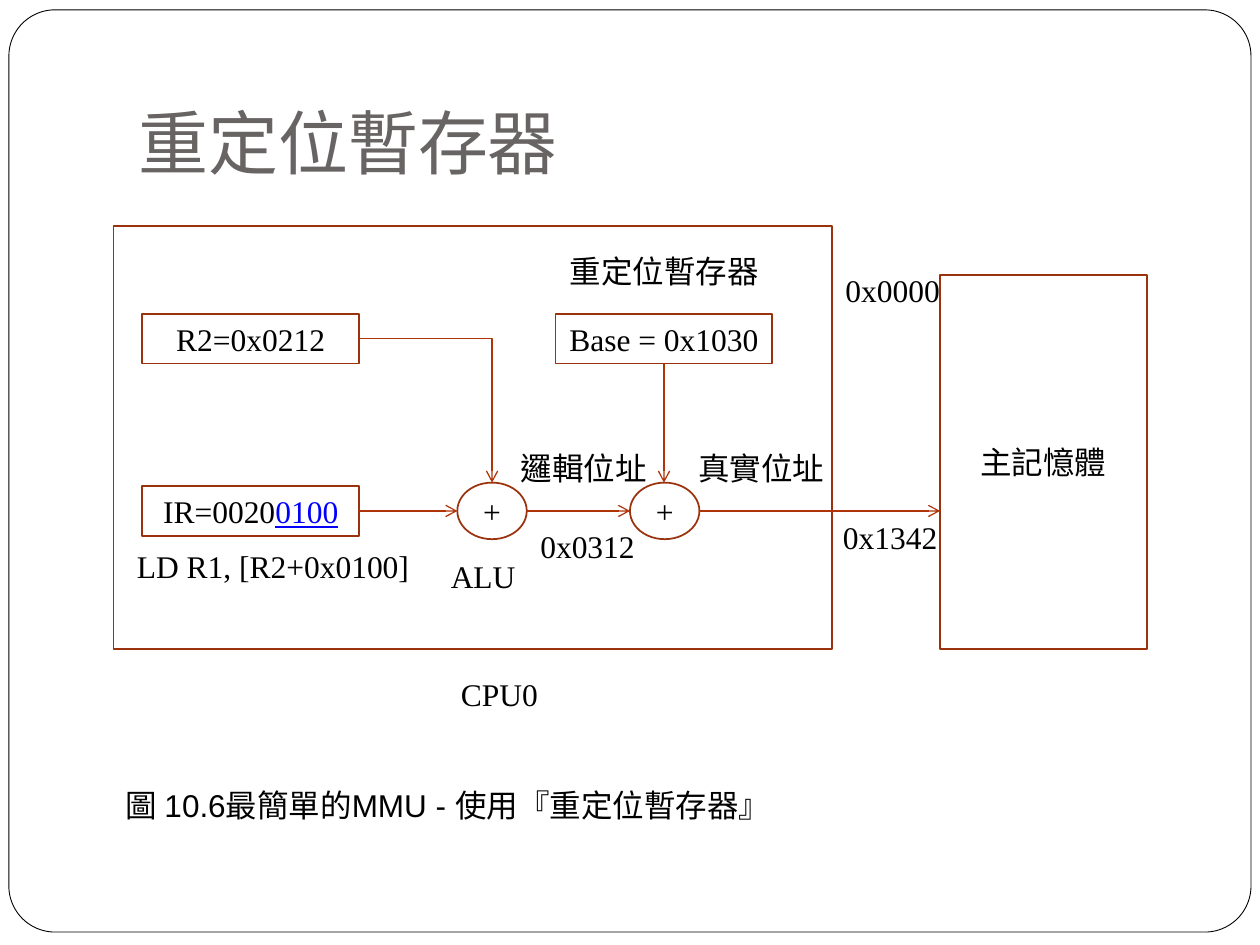
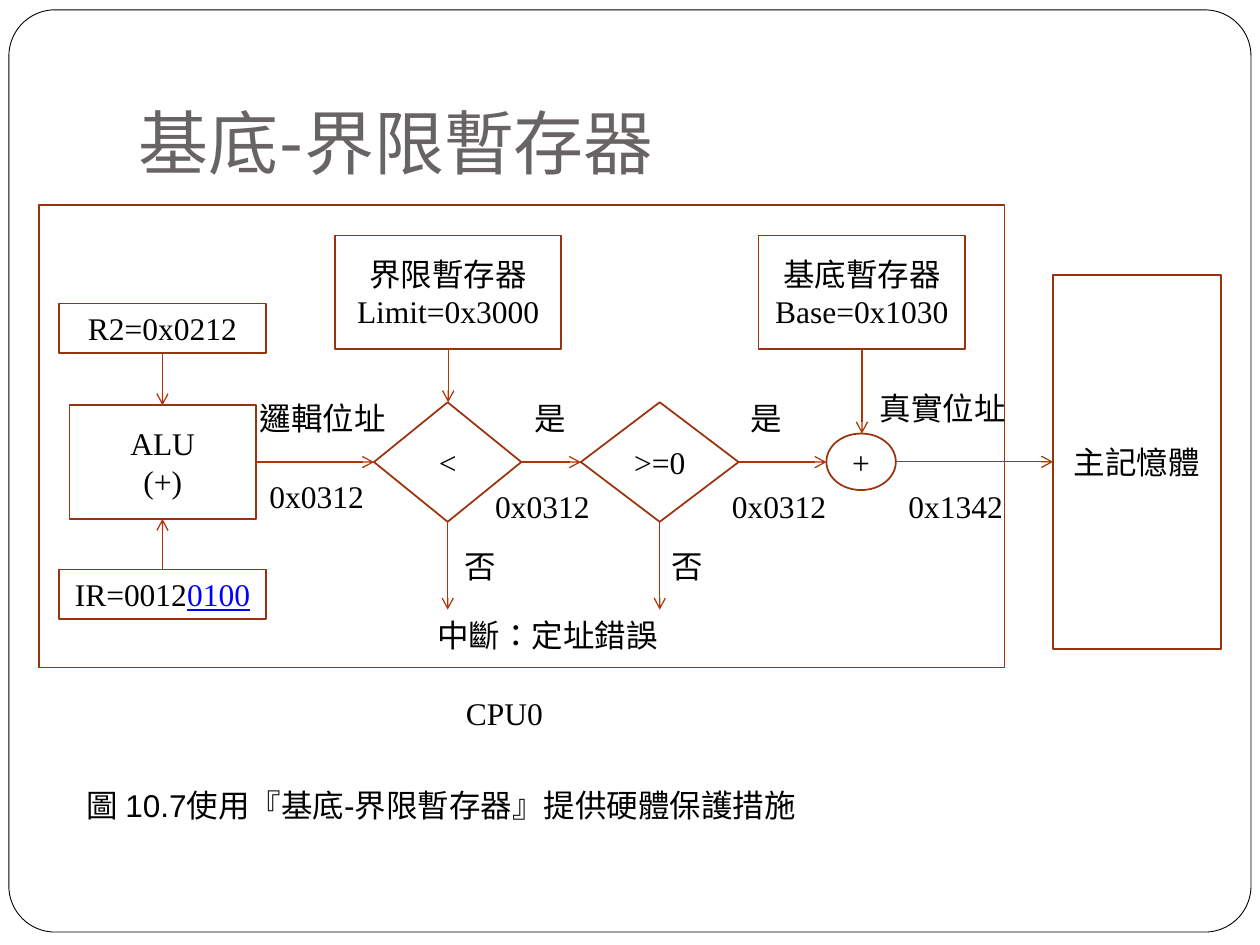
from pptx import Presentation
from pptx.dml.color import RGBColor
from pptx.enum.lang import MSO_LANGUAGE_ID as LANGUAGE
from pptx.enum.shapes import MSO_CONNECTOR as LINK, MSO_SHAPE as SHAPE
from pptx.enum.text import MSO_ANCHOR as ANCHOR, MSO_AUTO_SIZE as AUTO_SIZE, PP_ALIGN as ALIGN
from pptx.oxml.ns import qn
from pptx.util import Cm, Pt
from lxml.etree import SubElement

BLACK = RGBColor(0x00, 0x00, 0x00)
WHITE = RGBColor(0xFF, 0xFF, 0xFF)
TITLE_GREY = RGBColor(0x69, 0x64, 0x64)
BOX_RED = RGBColor(0x9B, 0x32, 0x0E)
ARROW_RED = RGBColor(0xAF, 0x34, 0x08)
OPERAND_BLUE = RGBColor(0x00, 0x00, 0xFF)

TITLE_FONT, DIAGRAM_FONT, CAPTION_FONT = "Lato", "Times New Roman", "Arial"
LABEL_HEIGHT = 1.02
RECT, OVAL, DIAMOND, PLAIN = SHAPE.RECTANGLE, SHAPE.OVAL, SHAPE.DIAMOND, None

# Content, in cm. Text after "|" is the operand part of an instruction.
# parts: name -> shape, text, left, top, width, height
# labels: text, left, top, width
# arrows: from, direction, to
SLIDES = [
    {
        "title": "重定位暫存器",
        "parts": {
            "cpu": (RECT, "", 2.29, 4.55, 14.48, 8.53),
            "memory": (RECT, "主記憶體", 18.95, 5.54, 4.17, 7.54),
            "r2": (RECT, "R2=0x0212", 2.87, 6.33, 4.37, 1),
            "ir": (RECT, "IR=0020|0100", 2.87, 9.8, 4.37, 1),
            "base": (RECT, "Base = 0x1030", 11.2, 6.33, 4.37, 1),
            "alu": (OVAL, "+", 9.22, 9.73, 1.4, 1.14),
            "relocate": (OVAL, "+", 12.7, 9.73, 1.4, 1.14),
        },
        "arrows": [
            ("r2", "elbow", "alu"), ("ir", "right", "alu"),
            ("alu", "right", "relocate"), ("base", "down", "relocate"),
            ("relocate", "right", "memory"),
        ],
        "labels": [
            ("重定位暫存器", 11.23, 4.95, 4.32),
            ("邏輯位址", 10.24, 8.92, 3.05),
            ("真實位址", 13.82, 8.92, 3.05),
            ("0x0000", 16.79, 5.33, 2.41),
            ("0x1342", 16.74, 10.31, 2.41),
            ("0x0312", 10.64, 10.49, 2.41),
            ("LD R1, [R2+0x0100]", 2.51, 10.9, 5.99),
            ("ALU", 8.64, 11.1, 2.2),
            ("CPU0", 9.04, 13.49, 2.06),
        ],
        "caption": ("圖 10.6最簡單的MMU - 使用『重定位暫存器』", 2.29),
    },
    {
        "title": "基底-界限暫存器",
        "parts": {
            "cpu": (RECT, "", 0.79, 4.14, 19.46, 9.32),
            "memory": (RECT, "主記憶體", 21.23, 5.54, 3.38, 7.54),
            "r2": (RECT, "R2=0x0212", 1.19, 6.12, 4.17, 1),
            "alu": (RECT, "ALU\n(+)", 1.4, 8.17, 3.76, 2.29),
            "ir": (RECT, "IR=0012|0100", 1.19, 11.48, 4.17, 1),
            "limit": (RECT, "界限暫存器\nLimit=0x3000", 6.76, 4.75, 4.55, 2.29),
            "base": (RECT, "基底暫存器\nBase=0x1030", 15.29, 4.75, 4.17, 2.29),
            "below limit": (DIAMOND, "<", 7.54, 8.11, 2.97, 2.41),
            "not negative": (DIAMOND, ">=0", 11.71, 8.11, 3.18, 2.41),
            "relocate": (OVAL, "+", 16.66, 8.74, 1.4, 1.14),
            "fault": (PLAIN, "中斷：定址錯誤", 8.56, 12.29, 4.95, LABEL_HEIGHT),
        },
        "arrows": [
            ("r2", "down", "alu"), ("ir", "up", "alu"),
            ("alu", "right", "below limit"), ("limit", "down", "below limit"),
            ("below limit", "right", "not negative"),
            ("not negative", "right", "relocate"),
            ("base", "down", "relocate"), ("relocate", "right", "memory"),
            ("below limit", "down", "fault"), ("not negative", "down", "fault"),
        ],
        "labels": [
            ("邏輯位址", 4.98, 7.92, 3.05),
            ("真實位址", 17.48, 7.72, 3.05),
            ("是", 10.52, 7.92, 1.14),
            ("是", 14.88, 7.92, 1.14),
            ("否", 9.12, 10.9, 1.14),
            ("否", 13.28, 10.9, 1.14),
            ("0x0312", 5.18, 9.5, 2.41),
            ("0x0312", 9.73, 9.7, 2.41),
            ("0x0312", 14.5, 9.7, 2.41),
            ("0x1342", 18.06, 9.7, 2.41),
            ("CPU0", 9.14, 13.87, 2.06),
        ],
        "caption": ("圖 10.7使用『基底-界限暫存器』提供硬體保護措施", 1.5),
    },
]


def write(shape, text, font=DIAGRAM_FONT, size=18, color=BLACK,
          align=ALIGN.CENTER, anchor=ANCHOR.TOP, wrap=False):
    frame = shape.text_frame
    frame.word_wrap = wrap
    frame.vertical_anchor = anchor
    for number, line in enumerate(text.split("\n")):
        paragraph = frame.paragraphs[0] if number == 0 else frame.add_paragraph()
        paragraph.alignment = align
        for position, piece in enumerate(line.split("|")):
            run = paragraph.add_run()
            run.text = piece
            run.font.name = font
            run.font.size = Pt(size)
            run.font.language_id = LANGUAGE.TRADITIONAL_CHINESE
            run.font.color.rgb = OPERAND_BLUE if position else color
            if position:
                run.font.underline = True


def add_outline(slide, preset, box, color, weight):
    outline = slide.shapes.add_shape(preset, *map(Cm, box))
    outline.shadow.inherit = False
    outline.fill.background()
    outline.line.color.rgb = color
    outline.line.width = Pt(weight)
    return outline


def add_part(slide, preset, text, *box):
    if preset is PLAIN:
        label = slide.shapes.add_textbox(*map(Cm, box))
        write(label, text)
        label.text_frame.auto_size = AUTO_SIZE.SHAPE_TO_FIT_TEXT
        return
    part = add_outline(slide, preset, box, BOX_RED, 1)
    if text:
        write(part, text, anchor=ANCHOR.MIDDLE)


def arrow_ends(source, direction, target):
    """Leave the middle of a source side and meet the facing target side."""
    left, top, width, height = source
    to_left, to_top, to_width, to_height = target
    middle_x, middle_y = left + width / 2, top + height / 2
    if direction == "right":
        return left + width, middle_y, to_left, middle_y
    if direction == "down":
        return middle_x, top + height, middle_x, to_top
    if direction == "up":
        return middle_x, top, middle_x, to_top + to_height
    return left + width, middle_y, to_left + to_width / 2, to_top


def add_arrow(slide, source, direction, target):
    bent = direction == "elbow"
    arrow = slide.shapes.add_connector(
        LINK.ELBOW if bent else LINK.STRAIGHT,
        *map(Cm, arrow_ends(source, direction, target)))
    arrow.line.color.rgb = ARROW_RED
    arrow.line.width = Pt(0.75)
    properties = arrow._element.spPr
    if bent:  # a single corner
        properties.find(qn("a:prstGeom")).set("prst", "bentConnector2")
    SubElement(properties.find(qn("a:ln")), qn("a:tailEnd"), type="arrow")
    SubElement(properties, qn("a:effectLst"))


def add_frame_and_title(slide, title):
    frame = add_outline(slide, SHAPE.ROUNDED_RECTANGLE,
                        (0.18, 0.2, 25.04, 18.59), BLACK, 0.5)
    frame.adjustments[0] = 0.05
    frame.fill.solid()
    frame.fill.fore_color.rgb = WHITE
    heading = slide.shapes.add_textbox(Cm(2.54), Cm(0.76), Cm(21.59), Cm(3.18))
    heading.text_frame.margin_bottom = Cm(0.25)
    write(heading, title, TITLE_FONT, 40, TITLE_GREY,
          ALIGN.LEFT, ANCHOR.BOTTOM, wrap=True)


def build_slide(deck, content):
    slide = deck.slides.add_slide(deck.slide_layouts[6])
    add_frame_and_title(slide, content["title"])

    # Diagram
    parts = content["parts"]
    for part in parts.values():
        add_part(slide, *part)
    for source, direction, target in content["arrows"]:
        add_arrow(slide, parts[source][2:], direction, parts[target][2:])
    for label in content["labels"]:
        add_part(slide, PLAIN, *label, LABEL_HEIGHT)

    # Caption
    text, left = content["caption"]
    caption = slide.shapes.add_textbox(Cm(left), Cm(15.72), Cm(17.6), Cm(LABEL_HEIGHT))
    write(caption, text, CAPTION_FONT, align=ALIGN.LEFT, wrap=True)


def main():
    deck = Presentation()
    deck.slide_width, deck.slide_height = Cm(25.4), Cm(19.05)
    for content in SLIDES:
        build_slide(deck, content)
    deck.save("out.pptx")


if __name__ == "__main__":
    main()
